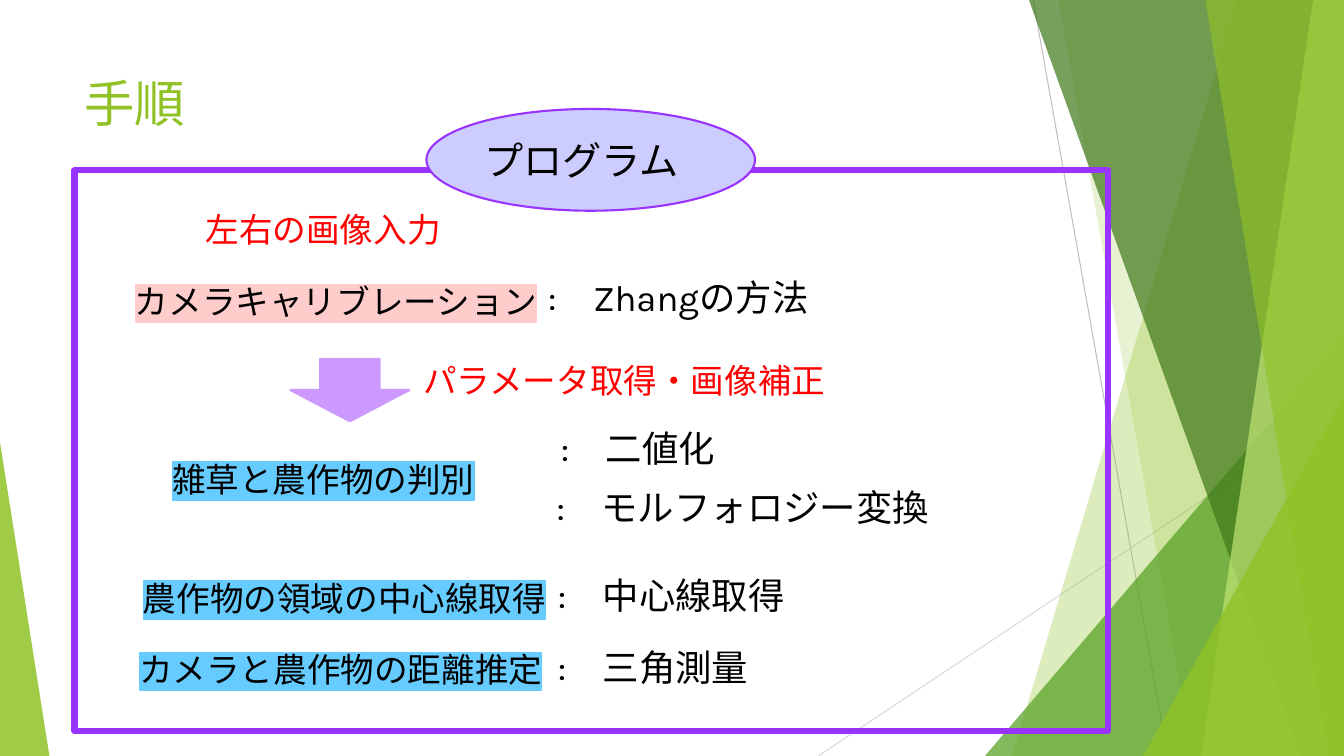
"""Build the procedure slide with its green facets and program frame."""
from lxml import etree
from pptx import Presentation
from pptx import util as u
from pptx.dml.color import RGBColor
from pptx.enum import shapes, text
from pptx.oxml.ns import qn

WIDTH, HEIGHT = 960, 540
GREEN, PURPLE, RED, BLACK = "90C226", "9933FF", "FF0000", "000000"
PINK, BLUE = "FFCCCC", "66CCFF"


def color(value):
    return RGBColor.from_string(value)


def points(*lengths):
    return [u.Pt(length) for length in lengths]


class SlideBuilder:
    frame_format = {"word_wrap": True, "vertical_anchor": text.MSO_ANCHOR.TOP}
    font_name = "Karla"

    def __init__(self, slide):
        self.slide = slide

    def apply(self, target, values):
        for name, value in values.items():
            setattr(target, name, value)

    def paint(self, shape, fill=None, line=None, weight=1.5, opacity=100):
        shape.shadow.inherit = False
        if fill:
            shape.fill.solid()
            shape.fill.fore_color.rgb = color(fill)
            if opacity < 100:
                solid = shape._element.spPr.find(qn("a:solidFill"))
                etree.SubElement(solid[0], qn("a:alpha"), val=str(opacity * 1000))
        else:
            shape.fill.background()
        if line:
            shape.line.color.rgb = color(line)
            shape.line.width = u.Pt(weight)
        else:
            shape.line.fill.background()

    def line(self, start, end, stroke):
        connector = self.slide.shapes.add_connector(
            shapes.MSO_CONNECTOR.STRAIGHT, *points(*start, *end))
        connector.line.color.rgb = color(stroke)
        connector.line.width = u.Pt(0.75)
        etree.SubElement(connector._element.spPr, qn("a:effectLst"))

    def facet(self, top, bottom, fill, opacity):
        builder = self.slide.shapes.build_freeform(u.Pt(top), 0)
        corners = [(WIDTH, 0), (WIDTH, HEIGHT), (bottom, HEIGHT)]
        builder.add_line_segments([points(*corner) for corner in corners])
        self.paint(builder.convert_to_shape(), fill, opacity=opacity)

    def shape(self, kind, box, adjustment=None, **style):
        shape = self.slide.shapes.add_shape(kind, *points(*box))
        if adjustment is not None:
            shape.adjustments[0] = adjustment
        self.paint(shape, **style)
        return shape

    def label(self, shape, words, size, ink, highlight=None,
              align=text.PP_ALIGN.LEFT, **frame_format):
        self.apply(shape.text_frame, {**self.frame_format, **frame_format})
        paragraph = shape.text_frame.paragraphs[0]
        paragraph.alignment = align
        run = paragraph.add_run()
        run.text = words
        run.font.color.rgb = color(ink)
        properties = run._r.get_or_add_rPr()
        if highlight:
            mark = etree.SubElement(properties, qn("a:highlight"))
            etree.SubElement(mark, qn("a:srgbClr"), val=highlight)
        self.apply(run.font, {"size": u.Pt(size), "name": self.font_name})
        etree.SubElement(properties, qn("a:ea"), typeface=self.font_name)

    def text(self, words, box, size, ink, **style):
        self.label(self.slide.shapes.add_textbox(*points(*box)), words, size, ink, **style)


def draw_background(builder):
    triangle = shapes.MSO_SHAPE.ISOSCELES_TRIANGLE
    builder.line((738, 0), (834, HEIGHT), "BFBFBF")
    builder.line((WIDTH, 290), (584.5, HEIGHT), "D9D9D9")
    builder.facet(884, 723, GREEN, 30)
    builder.facet(756, 852, GREEN, 20)
    builder.shape(triangle, (703.5, 240, 256.5, 300), 1, fill="54A021", opacity=72)
    builder.facet(735, 929.5, "3F7819", 70)
    builder.facet(938, 858, "C0E474", 70)
    builder.facet(861, 949, GREEN, 65)
    builder.shape(triangle, (816.5, 283, 143.5, 257), 1, fill=GREEN, opacity=80)
    builder.shape(triangle, (0, 316, 35.3, 224), 0, fill=GREEN, opacity=85)


def draw_procedure(builder):
    builder.text("手順", (53.3, 48.2, 676.8, 103.7), 36, GREEN)
    builder.shape(shapes.MSO_SHAPE.RECTANGLE, (53.3, 121.7, 738, 400.3),
                  line=PURPLE, weight=4.5)
    builder.shape(shapes.MSO_SHAPE.DOWN_ARROW, (207.4, 256.3, 85, 44.6),
                  fill="CC99FF", line="CC99FF")
    program = builder.shape(shapes.MSO_SHAPE.OVAL, (304.6, 77.8, 234.7, 72.7),
                            fill="CCCCFF", line=PURPLE)
    builder.label(program, "プログラム", 28, BLACK, vertical_anchor=text.MSO_ANCHOR.MIDDLE)

    steps = [
        ("左右の画像入力", 139.7, 145.4, 234.7, RED, None),
        ("カメラキャリブレーション", 89.3, 197.3, 320.4, BLACK, PINK),
        ("パラメータ取得・画像補正", 295.2, 253.4, 329.8, RED, None),
        ("雑草と農作物の判別", 115.9, 324, 267.1, BLACK, BLUE),
        ("農作物の領域の中心線取得", 95, 409, 323.3, BLACK, BLUE),
        ("カメラと農作物の距離推定", 92.2, 460.1, 351.4, BLACK, BLUE),
    ]
    for words, left, top, width, ink, highlight in steps:
        builder.text(words, (left, top, width, 36), 24, ink, highlight=highlight)

    methods = [
        ("Zhangの方法", 367.2, 193, 234.7),
        ("二値化", 338.4, 301, 234.7),
        ("モルフォロジー変換", 383.8, 342.7, 293.8),
        ("中心線取得", 362.2, 406.1, 234.7),
        ("三角測量", 349.2, 457.2, 234.7),
    ]
    for words, left, top, width in methods:
        builder.text(f":　{words}", (left, top, width, 38.9), 26, BLACK,
                     align=text.PP_ALIGN.CENTER)


def main():
    presentation = Presentation()
    size = {"slide_width": u.Pt(WIDTH), "slide_height": u.Pt(HEIGHT)}
    for name, value in size.items():
        setattr(presentation, name, value)
    builder = SlideBuilder(presentation.slides.add_slide(presentation.slide_layouts[6]))
    draw_background(builder)
    draw_procedure(builder)
    presentation.save("out.pptx")


if __name__ == "__main__":
    main()
